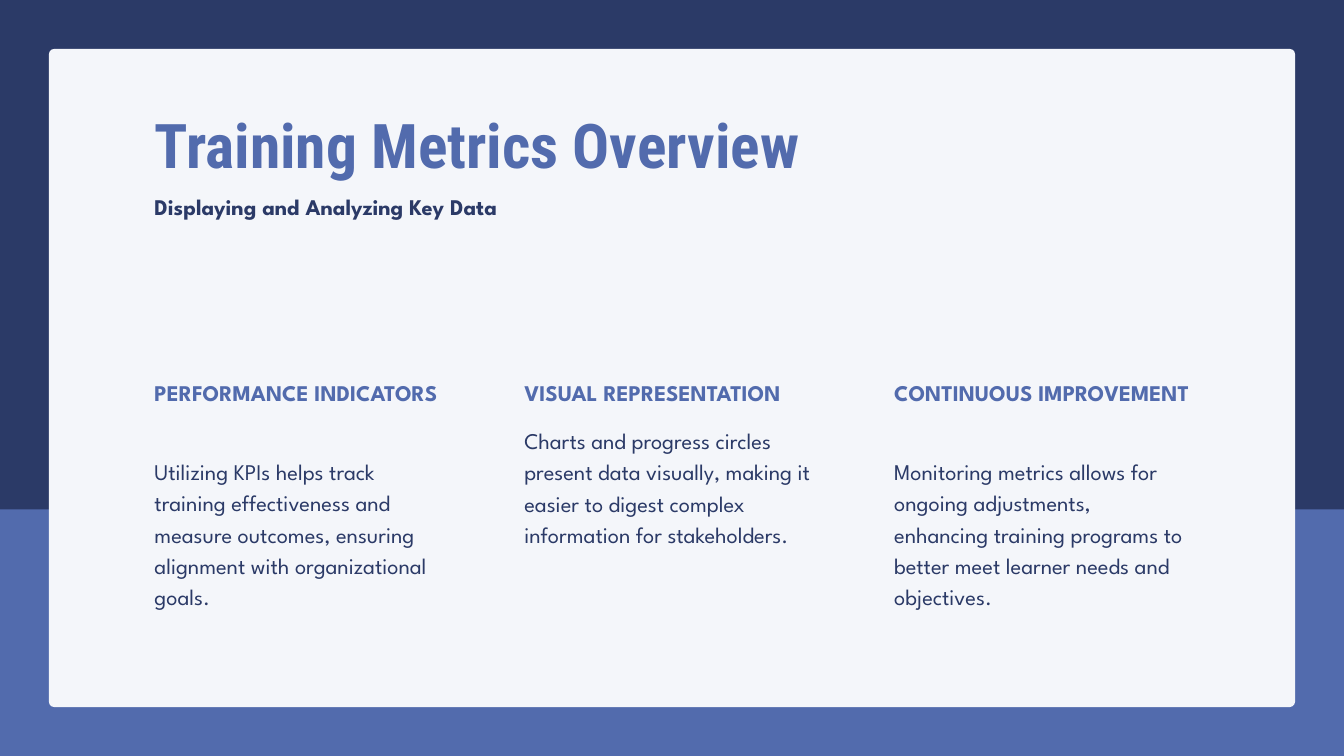
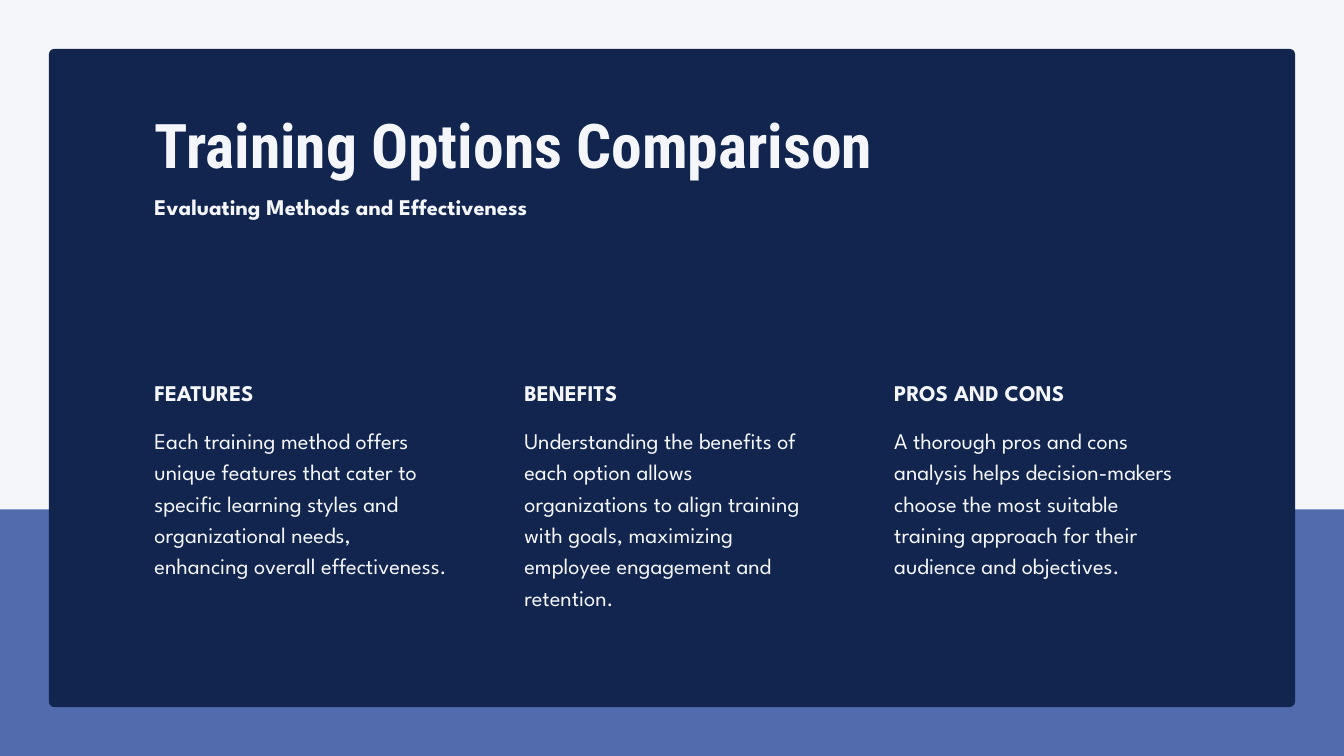
from pptx import Presentation
from pptx.dml.color import RGBColor
from pptx.enum.shapes import MSO_SHAPE
from pptx.enum.text import MSO_AUTO_SIZE
from pptx.util import Cm, Pt

RECT = MSO_SHAPE.RECTANGLE
ROUNDED = MSO_SHAPE.ROUNDED_RECTANGLE
GROW = MSO_AUTO_SIZE.SHAPE_TO_FIT_TEXT

# Colours
NAVY = RGBColor(0x2B, 0x3A, 0x67)
DEEP_NAVY = RGBColor(0x11, 0x25, 0x4F)
BLUE = RGBColor(0x52, 0x6B, 0xAD)
PALE = RGBColor(0xF4, 0xF6, 0xFA)

# Fonts
TITLE_FONT = "Roboto Condensed"
BODY_FONT = "League Spartan"

# Layout, in centimetres
SLIDE_W, SLIDE_H = 50.8, 28.58
BAND_TOP = 19.26
MARGIN = 1.85
CORNER = 0.2
LEFT = 5.84
COL_W, COL_STEP = 11.15, 13.98
TEXT_W = 2 * COL_STEP + COL_W
TITLE_TOP, TITLE_H = 4.06, 3.05
SUBTITLE_TOP = 7.14
HEADING_TOP = 14.17
LINE_H, LINE_STEP = 1.12, 1.17
HEADING_GAP = 0.69


def text_height(lines):
    return LINE_H + (lines - 1) * LINE_STEP


def add_panel(slide, kind, x, y, w, h, color):
    sp = slide.shapes.add_shape(kind, Cm(x), Cm(y), Cm(w), Cm(h))
    sp.shadow.inherit = False
    sp.fill.solid()
    sp.fill.fore_color.rgb = color
    sp.line.fill.background()
    return sp


def add_text(slide, text, x, y, w, h, *, color, size=24, font=BODY_FONT,
             bold=False, spacing=33.6):
    tf = slide.shapes.add_textbox(Cm(x), Cm(y), Cm(w), Cm(h)).text_frame
    tf.margin_left = tf.margin_top = tf.margin_right = tf.margin_bottom = 0
    tf.word_wrap = True
    tf.auto_size = GROW
    p = tf.paragraphs[0]
    p.line_spacing = Pt(spacing)
    r = p.add_run()
    r.text = text
    r.font.name = font
    r.font.size = Pt(size)
    r.font.bold = bold
    r.font.color.rgb = color


def add_frame(prs, background, card_color):
    """Blank slide with a background, a bottom band and a rounded card."""
    slide = prs.slides.add_slide(prs.slide_layouts[6])
    slide.background.fill.solid()
    slide.background.fill.fore_color.rgb = background
    add_panel(slide, RECT, 0, BAND_TOP, SLIDE_W, SLIDE_H - BAND_TOP, BLUE)
    card_h = SLIDE_H - 2 * MARGIN
    card = add_panel(slide, ROUNDED, MARGIN, MARGIN,
                     SLIDE_W - 2 * MARGIN, card_h, card_color)
    card.adjustments[0] = CORNER / card_h
    return slide


def add_header(slide, title, subtitle, title_color, text_color):
    add_text(slide, title, LEFT, TITLE_TOP, TEXT_W, TITLE_H, color=title_color,
             size=66, font=TITLE_FONT, bold=True, spacing=79.2)
    add_text(slide, subtitle, LEFT, SUBTITLE_TOP, TEXT_W, LINE_H,
             color=text_color, bold=True)


def add_columns(slide, columns, heading_color, text_color):
    """Each column is (heading, heading lines, body, body lines)."""
    for i, (heading, heading_lines, body, body_lines) in enumerate(columns):
        x = LEFT + i * COL_STEP
        heading_h = text_height(heading_lines)
        body_top = HEADING_TOP + heading_h + HEADING_GAP
        add_text(slide, body, x, body_top, COL_W, text_height(body_lines),
                 color=text_color)
        add_text(slide, heading, x, HEADING_TOP, COL_W, heading_h,
                 color=heading_color, bold=True)


def main():
    prs = Presentation()
    prs.slide_width, prs.slide_height = Cm(SLIDE_W), Cm(SLIDE_H)

    # Training metrics
    slide = add_frame(prs, NAVY, PALE)
    add_header(slide, "Training Metrics Overview",
               "Displaying and Analyzing Key Data", BLUE, NAVY)
    add_columns(slide, [
        ("PERFORMANCE INDICATORS", 2,
         "Utilizing KPIs helps track training effectiveness and measure "
         "outcomes, ensuring alignment with organizational goals.", 5),
        ("VISUAL REPRESENTATION", 1,
         "Charts and progress circles present data visually, making it easier "
         "to digest complex information for stakeholders.", 5),
        ("CONTINUOUS IMPROVEMENT", 2,
         "Monitoring metrics allows for ongoing adjustments, enhancing "
         "training programs to better meet learner needs and objectives.", 6),
    ], BLUE, NAVY)

    # Training options
    slide = add_frame(prs, PALE, DEEP_NAVY)
    add_header(slide, "Training Options Comparison",
               "Evaluating Methods and Effectiveness", PALE, PALE)
    add_columns(slide, [
        ("FEATURES", 1,
         "Each training method offers unique features that cater to specific "
         "learning styles and organizational needs, enhancing overall "
         "effectiveness.", 6),
        ("BENEFITS", 1,
         "Understanding the benefits of each option allows organizations to "
         "align training with goals, maximizing employee engagement and "
         "retention.", 6),
        ("PROS AND CONS", 1,
         "A thorough pros and cons analysis helps decision-makers choose the "
         "most suitable training approach for their audience and "
         "objectives.", 6),
    ], PALE, PALE)

    prs.save("out.pptx")


if __name__ == "__main__":
    main()
